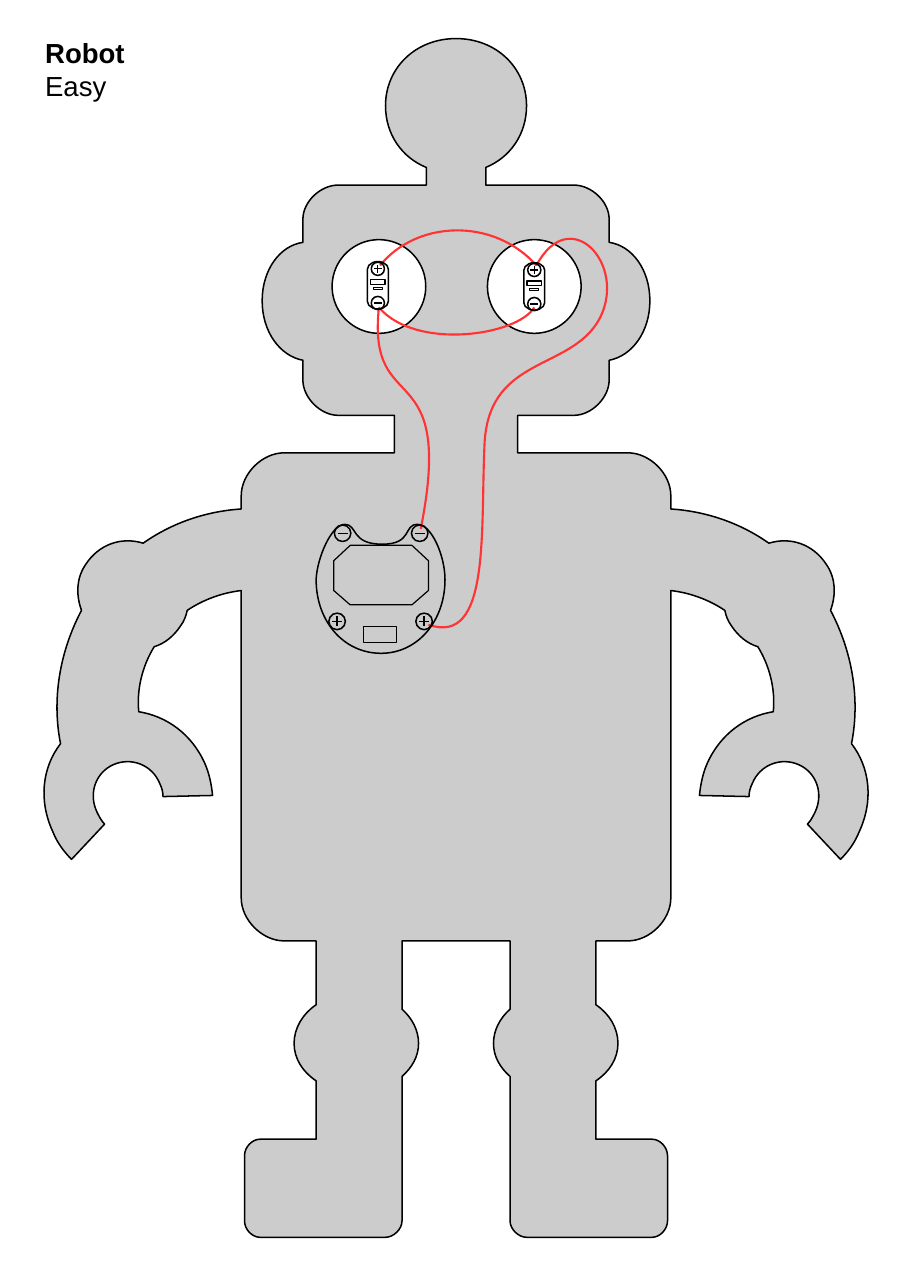
from pptx import Presentation
from pptx.dml.color import RGBColor
from pptx.enum.shapes import MSO_CONNECTOR, MSO_SHAPE
from pptx.enum.text import MSO_ANCHOR, MSO_AUTO_SIZE, PP_ALIGN
from pptx.oxml.ns import qn
from pptx.util import Inches, Pt
from lxml import etree

OVAL, RECT = MSO_SHAPE.OVAL, MSO_SHAPE.RECTANGLE
CAPSULE = MSO_SHAPE.FLOWCHART_TERMINATOR
COLORS = {"ink": "000000", "robot": "CCCCCC", "eye": "FFFFFF", "wire": "FF3333"}
AXIS = 4.14  # the robot is symmetric about this x
BOLD_LINE, THIN_LINE, WIRE_LINE = 1, 0.79, 1.39

# Paths: a pair is a straight step, six numbers are a cubic curve.
right_half = [
    (AXIS, 0.35), (4.51, 0.35, 4.78, 0.62, 4.78, 0.96),
    (4.78, 1.22, 4.63, 1.43, 4.41, 1.52), (4.41, 1.68),
    # head, ear and neck
    (5.21, 1.68), (5.37, 1.68, 5.53, 1.83, 5.53, 1.99), (5.53, 2.2),
    (5.74, 2.23, 5.9, 2.45, 5.9, 2.73), (5.9, 3.01, 5.74, 3.23, 5.53, 3.27),
    (5.53, 3.45), (5.53, 3.61, 5.37, 3.77, 5.21, 3.77), (4.7, 3.77), (4.7, 4.11),
    # shoulder and outer arm
    (5.7, 4.11), (5.9, 4.11, 6.09, 4.3, 6.09, 4.5), (6.09, 4.62),
    (6.4, 4.64, 6.71, 4.74, 6.98, 4.93), (7.18, 4.87, 7.38, 4.94, 7.5, 5.12),
    (7.59, 5.25, 7.59, 5.4, 7.54, 5.54), (7.74, 5.92, 7.81, 6.35, 7.73, 6.75),
    # gripper
    (7.9, 6.97, 7.93, 7.27, 7.8, 7.55), (7.76, 7.65, 7.7, 7.73, 7.63, 7.8),
    (7.33, 7.48), (7.36, 7.45, 7.38, 7.41, 7.4, 7.37),
    (7.48, 7.2, 7.41, 7.01, 7.25, 6.94), (7.09, 6.87, 6.9, 6.94, 6.83, 7.11),
    (6.81, 7.15, 6.8, 7.19, 6.8, 7.23), (6.35, 7.22),
    (6.36, 7.12, 6.38, 7.02, 6.42, 6.93), (6.54, 6.66, 6.77, 6.5, 7.02, 6.46),
    # inner arm and body
    (7.04, 6.26, 6.99, 6.05, 6.88, 5.87), (6.78, 5.84, 6.7, 5.77, 6.64, 5.68),
    (6.61, 5.64, 6.59, 5.59, 6.58, 5.54), (6.43, 5.44, 6.26, 5.38, 6.09, 5.36),
    (6.09, 8.15), (6.09, 8.35, 5.9, 8.54, 5.7, 8.54), (5.41, 8.54),
    # leg and foot
    (5.41, 9.12), (5.53, 9.2, 5.61, 9.33, 5.61, 9.47),
    (5.61, 9.61, 5.53, 9.73, 5.41, 9.81), (5.41, 10.34), (5.92, 10.34),
    (5.99, 10.34, 6.06, 10.41, 6.06, 10.49), (6.06, 11.08),
    (6.06, 11.16, 5.99, 11.23, 5.92, 11.23), (4.78, 11.23),
    (4.71, 11.23, 4.63, 11.16, 4.63, 11.08), (4.63, 9.77),
    (4.54, 9.69, 4.48, 9.59, 4.48, 9.47), (4.48, 9.35, 4.54, 9.24, 4.63, 9.16),
    (4.63, 8.54),
]
wire_paths = [
    [(3.82, 4.8), (4.14, 3.19, 3.33, 3.82, 3.44, 2.79)],
    [(4.85, 2.79), (4.69, 3.05, 3.77, 3.18, 3.44, 2.79)],
    [(3.89, 5.67), (4.46, 5.87, 4.36, 4.8, 4.4, 4.01),
     (4.45, 3.22, 5.2, 3.37, 5.45, 2.88), (5.69, 2.39, 5.17, 1.84, 4.87, 2.41)],
    [(4.87, 2.41), (4.48, 1.97, 3.78, 2, 3.45, 2.41)],
]
holder_rim = [
    (2.87, 5.26), (2.88, 5.06, 3.01, 4.76, 3.13, 4.76),
    (3.25, 4.76, 3.18, 4.94, 3.47, 4.94), (3.75, 4.94, 3.66, 4.76, 3.79, 4.76),
    (3.92, 4.76, 4.04, 5.05, 4.04, 5.26), (4.04, 5.64, 3.79, 5.93, 3.46, 5.93),
    (3.12, 5.93, 2.87, 5.64, 2.87, 5.26),
]
battery_cell = [(3.18, 5.49), (3.03, 5.36), (3.03, 5.09), (3.18, 4.95),
                (3.74, 4.95), (3.89, 5.09), (3.89, 5.36), (3.74, 5.49)]


def add_text(paragraph, text, bold=False, size=18, font="Arial", color="ink"):
    run = paragraph.add_run()
    run.text = text
    run.font.name, run.font.size, run.font.bold = font, Pt(size), bold
    run.font.color.rgb = RGBColor.from_string(COLORS[color])
    paragraph.alignment = PP_ALIGN.LEFT


def paint(shape, width, fill=None, line="ink"):
    """Set outline and fill, without a shadow."""
    shape.line.color.rgb = RGBColor.from_string(COLORS[line])
    shape.line.width = Pt(width)
    shape.shadow.inherit = False
    if fill:
        shape.fill.solid()
        shape.fill.fore_color.rgb = RGBColor.from_string(COLORS[fill])
    else:
        shape.fill.background()


deck = Presentation()
deck.slide_width, deck.slide_height = Inches(8.27), Inches(11.69)
slide = deck.slides.add_slide(deck.slide_layouts[5])

heading = slide.shapes.title
heading.left, heading.top = Inches(0.31), Inches(0.28)
heading.width, heading.height = Inches(1.89), Inches(0.66)
frame = heading.text_frame
frame.auto_size, frame.word_wrap = MSO_AUTO_SIZE.NONE, True
frame.vertical_anchor = MSO_ANCHOR.TOP
add_text(frame.paragraphs[0], "Robot", bold=True)
add_text(frame.add_paragraph(), "Easy")

robot, wiring, left_led, right_led, battery = (
    slide.shapes.add_group_shape().shapes for _ in range(5))

# Outlines: group, path, mirrored, closed, line width, fill, line colour
outlines = [(robot, right_half, True, True, BOLD_LINE, "robot", "ink")]
outlines += [(wiring, wire, False, False, WIRE_LINE, None, "wire")
             for wire in wire_paths]
outlines += [(battery, holder_rim, False, True, BOLD_LINE, None, "ink"),
             (battery, battery_cell, False, True, THIN_LINE, None, "ink")]

for group, steps, mirrored, closed, width, fill, line in outlines:
    points = [pair for step in steps for pair in zip(step[::2], step[1::2])]
    step_sizes = [len(step) // 2 for step in steps[1:]]
    if mirrored:
        points += [(2 * AXIS - x, y) for x, y in reversed(points)]
        step_sizes += [1] + step_sizes[::-1]
    emu = [(Inches(x), Inches(y)) for x, y in points]
    builder = group.build_freeform(*emu[0])
    builder.add_line_segments(emu[1:], close=closed)
    outline = builder.convert_to_shape()
    paint(outline, width, fill, line)
    # Join each run of three straight segments that stands for a curve
    segments = iter(list(outline.element.iter(qn("a:lnTo"))))
    for size in step_sizes:
        first, *others = [next(segments) for _ in range(size)]
        if others:
            first.tag = qn("a:cubicBezTo")
        for other in others:
            first.append(other[0])
            other.getparent().remove(other)

# Parts: group, preset, centre x, centre y, width, height, line width, fill, rotation
parts = [(robot, OVAL, x, 2.6, 0.85, 0.85, BOLD_LINE, "eye", 0) for x in (4.85, 3.44)]
parts.append((battery, RECT, 3.45, 5.76, 0.3, 0.14, THIN_LINE, None, 0))

# Contacts: group, centre x, centre y, diameter, sign length, positive
contacts = [(battery, x, 4.84, 0.15, 0.09, False) for x in (3.11, 3.81)]
contacts += [(battery, x, 5.64, 0.15, 0.09, True) for x in (3.06, 3.85)]
for led, x, y in ((left_led, 3.43, 2.59), (right_led, 4.85, 2.6)):
    parts += [(led, CAPSULE, x, y, 0.43, 0.19, BOLD_LINE, None, 90),
              (led, RECT, x, y - 0.03, 0.13, 0.04, THIN_LINE, None, 0),
              (led, RECT, x, y + 0.03, 0.08, 0.02, THIN_LINE, None, 0)]
    contacts += [(led, x, y - 0.15, 0.12, 0.07, True),
                 (led, x, y + 0.16, 0.12, 0.07, False)]

signs = []
for group, x, y, diameter, length, positive in contacts:
    parts.append((group, OVAL, x, y, diameter, diameter, BOLD_LINE, None, 0))
    half = length / 2
    signs.append((group, x - half, y, x + half, y))
    if positive:
        signs.append((group, x, y - half, x, y + half))

for group, preset, x, y, w, h, width, fill, rotation in parts:
    part = group.add_shape(preset, Inches(x - w / 2), Inches(y - h / 2), Inches(w), Inches(h))
    part.rotation = rotation
    paint(part, width, fill)

for group, *ends in signs:
    stroke = group.add_connector(MSO_CONNECTOR.STRAIGHT, *map(Inches, ends))
    stroke.line.color.rgb = RGBColor.from_string(COLORS["ink"])
    stroke.line.width = Pt(THIN_LINE)
    etree.SubElement(stroke.element.spPr, qn("a:effectLst"))

deck.save("out.pptx")
